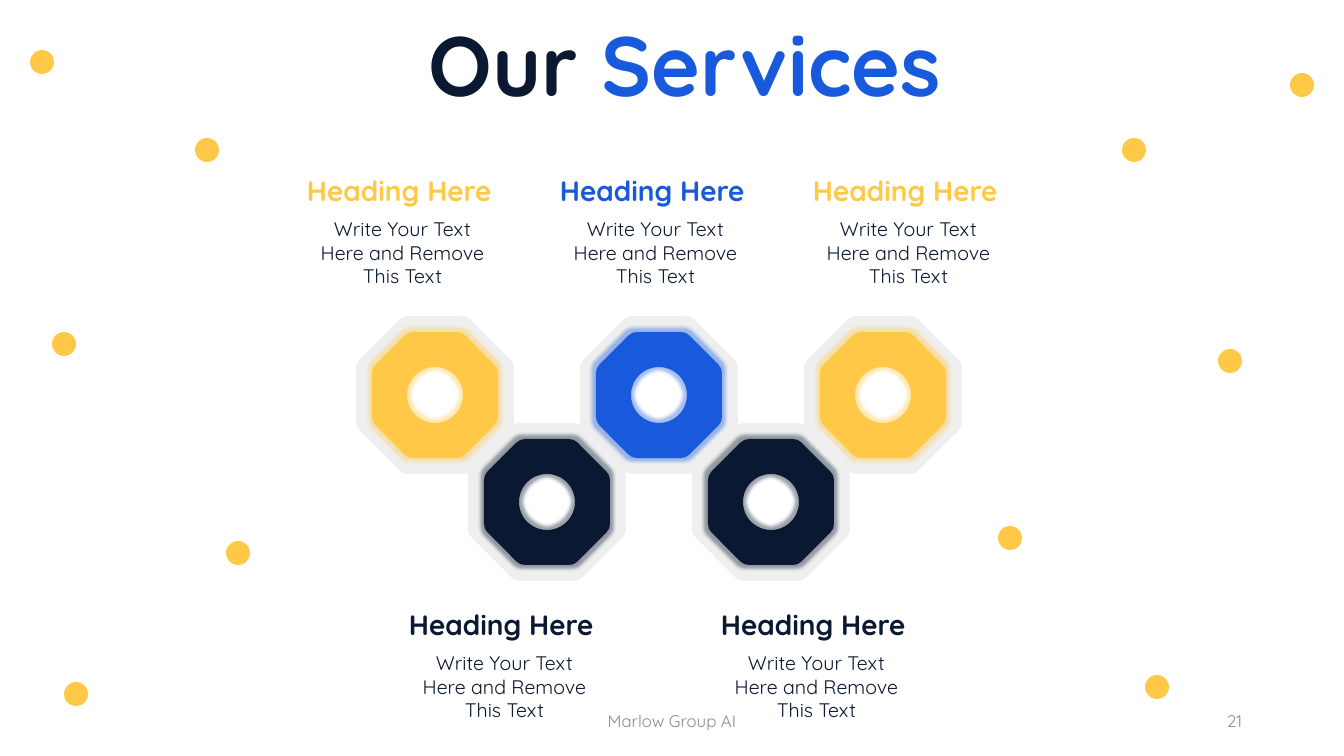
import math
from lxml import etree
from pptx import Presentation
from pptx import util as u
from pptx.dml.color import RGBColor
from pptx.enum import shapes as sh, text as tx
from pptx.oxml import ns

PX = 914400 / 100.8
FONT = "Quicksand"
GOLD, BLUE, NAVY = "FFC947", "185ADB", "0A1931"
PALE, GRAY = "EFEFEF", "8C8C8C"
HOLE = 28
TRIM = 5
DOTS = [(42, 62), (207, 150), (64, 344), (238, 553), (76, 694),
        (1302, 85), (1134, 150), (1230, 361), (1010, 538), (1157, 687)]


def px(n):
    return u.Emu(round(n * PX))


def tint(fmt, hue):
    fmt.solid()
    fmt.fore_color.rgb = RGBColor.from_string(hue)


def paint(shape, hue):
    shape.shadow.inherit = False
    shape.line.fill.background()
    tint(shape.fill, hue)


def label(slide, box, runs, size, bold=False, align=tx.PP_ALIGN.CENTER,
          wrap=True, anchor=tx.MSO_ANCHOR.TOP):
    frame = slide.shapes.add_textbox(*map(px, box)).text_frame
    frame.word_wrap = wrap
    frame.vertical_anchor = anchor
    para = frame.paragraphs[0]
    para.alignment = align
    for words, hue in runs:
        run = para.add_run()
        run.text = words
        run.font.name = FONT
        run.font.size = u.Pt(size)
        run.font.bold = bold
        tint(run.font.fill, hue)


def node(root, name, **vals):
    return etree.SubElement(root, ns.qn("a:" + name),
                            {k: str(v) for k, v in vals.items()})


def near(tip, end):
    part = TRIM / math.dist(tip, end)
    return [t + (e - t) * part for t, e in zip(tip, end)]


def soften(track, tips, half):
    turns = track.findall(ns.qn("a:lnTo"))[::2]
    for turn, (a, b) in zip(turns, tips):
        turn.tag = ns.qn("a:quadBezTo")
        turn.insert(0, node(turn, "pt", x=px(a + half), y=px(b + half)))


def pierce(track, half):
    node(node(track, "moveTo"), "pt", x=px(half + HOLE), y=px(half))
    for start in (0, 10800000):
        node(track, "arcTo", wR=px(HOLE), hR=px(HOLE),
             stAng=start, swAng=10800000)
    node(track, "close")


def nut(slide, mid, half, flat, hue):
    x, y = mid
    tips = [(-flat, -half), (flat, -half), (half, -flat), (half, flat),
            (flat, half), (-flat, half), (-half, flat), (-half, -flat)]
    ends = [near(tip, end) for i, tip in enumerate(tips)
            for end in (tips[i - 1], tips[(i + 1) % 8])]
    edge = [(px(x + a), px(y + b)) for a, b in ends]
    form = slide.shapes.build_freeform(*edge[0])
    form.add_line_segments(edge[1:])
    shape = form.convert_to_shape()
    track = shape._element.spPr.find(".//" + ns.qn("a:path"))
    soften(track, tips, half)
    pierce(track, half)
    paint(shape, hue)
    return shape


def glow(shape, hue):
    fx = shape._element.spPr.find(ns.qn("a:effectLst"))
    tone = node(node(fx, "glow", rad=63500), "srgbClr", val=hue)
    node(tone, "alpha", val=40000)


def chain(slide, left, top):
    hues = [GOLD, NAVY, BLUE, NAVY, GOLD]
    mids = [(left + 79 + 112 * i, top + 79 + 107 * (i % 2))
            for i in range(len(hues))]
    for mid in mids:
        nut(slide, mid, 79, 32, PALE)
    for mid, hue in zip(mids, hues):
        glow(nut(slide, mid, 63, 27, hue), hue)


def card(slide, left, top, hue):
    label(slide, (left, top, 211, 44), [("Heading Here", hue)], 20,
          bold=True, align=tx.PP_ALIGN.LEFT, wrap=False)
    label(slide, (left + 8, top + 43, 195, 82),
          [("Write Your Text Here and Remove This Text", NAVY)], 14)


def cards(slide, left, top, gap, hues):
    for i, hue in enumerate(hues):
        card(slide, left + gap * i, top, hue)


def dots(slide):
    for x, y in DOTS:
        dot = slide.shapes.add_shape(sh.MSO_SHAPE.OVAL,
                                     *map(px, (x - 12, y - 12, 24, 24)))
        paint(dot, GOLD)


def foot(slide, top):
    mid = tx.MSO_ANCHOR.MIDDLE
    label(slide, (445, top, 454, 40), [("Marlow Group AI", GRAY)], 12,
          anchor=mid)
    label(slide, (949, top, 303, 40), [("21", GRAY)], 12,
          align=tx.PP_ALIGN.RIGHT, anchor=mid)


def main():
    deck = Presentation()
    deck.slide_width, deck.slide_height = px(1344), px(756)
    slide = deck.slides.add_slide(deck.slide_layouts[6])
    tint(slide.background.fill, "FFFFFF")
    dots(slide)
    chain(slide, 356, 316)
    cards(slide, 297, 169, 253, [GOLD, BLUE, GOLD])
    label(slide, (417, 8, 535, 112), [("Our", NAVY), (" Services", BLUE)],
          60, bold=True, wrap=False)
    cards(slide, 399, 603, 312, [NAVY, NAVY])
    foot(slide, 701)
    deck.save("out.pptx")


if __name__ == "__main__":
    main()
